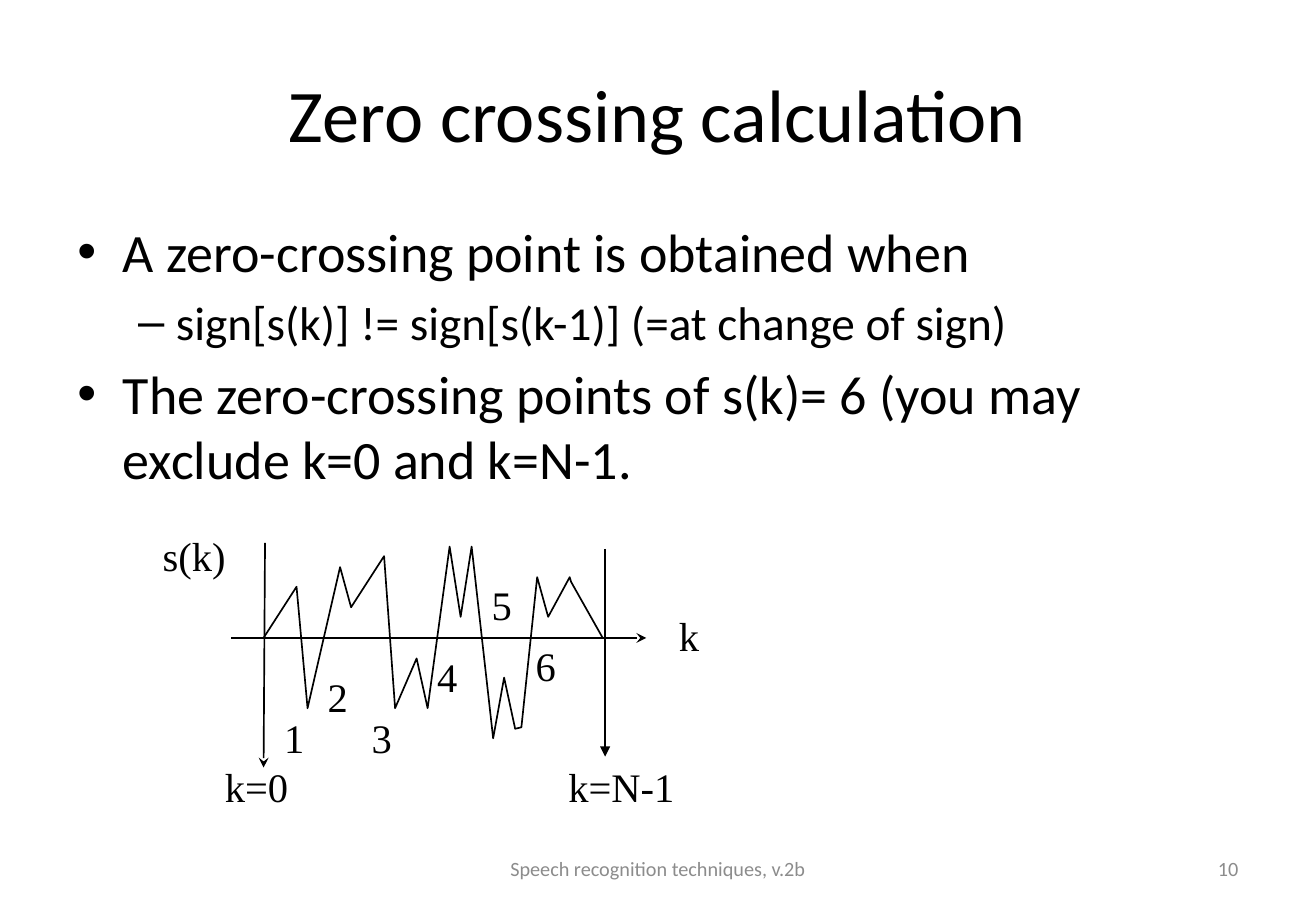
from lxml import etree
from pptx import Presentation
from pptx.dml.color import RGBColor
from pptx.enum.shapes import MSO_CONNECTOR
from pptx.enum.text import MSO_ANCHOR, PP_ALIGN
from pptx.oxml.ns import qn
from pptx.util import Cm, Pt

STRAIGHT = MSO_CONNECTOR.STRAIGHT
TOP, MIDDLE = MSO_ANCHOR.TOP, MSO_ANCHOR.MIDDLE
LEFT, CENTER, RIGHT = PP_ALIGN.LEFT, PP_ALIGN.CENTER, PP_ALIGN.RIGHT

BLACK, GREY = "000000", "8C8C8C"
SANS, SERIF = "Calibri", "Times New Roman"
AXIS_Y = 13.34

BULLETS = [
    (0, "A zero-crossing point is obtained when"),
    (1, "sign[s(k)] != sign[s(k-1)] (=at change of sign)"),
    (0, "The zero-crossing points of s(k)= 6 (you may exclude k=0 and k=N-1."),
]
LEVELS = [("•", 32, 0.95, 0.95), ("–", 28, 2.06, 0.79)]

AXES = [
    ((5.54, 11.35), (5.51, 16.05), "stealth"),
    ((12.65, 11.48), (12.65, 15.82), "triangle"),
    ((4.83, AXIS_Y), (13.51, AXIS_Y), "stealth"),
]
SIGNAL = [
    (5.51, AXIS_Y), (6.2, 12.27), (6.43, 14.81), (7.11, 11.86), (7.34, 12.7),
    (8.03, 11.63), (8.26, 14.81), (8.71, 13.77), (8.94, 14.81), (9.4, 11.43),
    (9.63, 12.9), (9.86, 11.43), (10.31, 15.44), (10.54, 14.17),
    (10.77, 15.24), (10.9, 15.21), (11.23, 12.07), (11.46, 12.9),
    (11.91, 12.07), (11.94, 12.17), (12.6, AXIS_Y),
]
LABELS = [
    ("k", 13.94, 12.65, 0.94), ("s(k)", 3.15, 10.97, 1.85),
    ("1", 5.69, 14.78, 0.94), ("2", 6.6, 13.92, 0.94),
    ("3", 7.52, 14.78, 0.94), ("4", 8.89, 13.51, 0.94),
    ("5", 10.03, 12.01, 0.94), ("6", 10.95, 13.28, 0.94),
    ("k=N-1", 11.63, 15.82, 2.77), ("k=0", 4.45, 15.82, 1.85),
]


def rgb(value):
    """Return the colour for a hex string."""
    return RGBColor.from_string(value)


def style_text(paragraph, size, font, color):
    """Format every run of a paragraph."""
    for run in paragraph.runs:
        run.font.size = Pt(size)
        run.font.name = font
        run.font.color.rgb = rgb(color)


def add_frame(slide, box, anchor=TOP, wrap=True):
    """Add a text box and return its text frame."""
    frame = slide.shapes.add_textbox(*map(Cm, box)).text_frame
    frame.word_wrap = wrap
    frame.vertical_anchor = anchor
    return frame


def add_text(slide, text, box, size, font=SANS, color=BLACK, align=CENTER,
             anchor=MIDDLE, wrap=True):
    """Add a single formatted line of text."""
    frame = add_frame(slide, box, anchor, wrap)
    frame.text = text
    frame.paragraphs[0].alignment = align
    style_text(frame.paragraphs[0], size, font, color)


def add_bullets(slide, box):
    """Add the two-level bullet list."""
    frame = add_frame(slide, box)
    for index, (level, text) in enumerate(BULLETS):
        mark, size, margin, hang = LEVELS[level]
        paragraph = frame.add_paragraph() if index else frame.paragraphs[0]
        paragraph.text = text
        paragraph.level = level
        paragraph.space_before = Pt(size * 0.2)
        style_text(paragraph, size, SANS, BLACK)
        properties = paragraph._p.get_or_add_pPr()
        properties.set("marL", str(Cm(margin)))
        properties.set("indent", str(-Cm(hang)))
        etree.SubElement(properties, qn("a:buFont"), typeface="Arial")
        etree.SubElement(properties, qn("a:buChar"), char=mark)


def add_axis(slide, start, end, head):
    """Add a thin line with an arrowhead at its end."""
    axis = slide.shapes.add_connector(STRAIGHT, *map(Cm, start + end))
    axis.line.color.rgb = rgb(BLACK)
    axis.line.width = Pt(1)
    etree.SubElement(axis.line._get_or_add_ln(), qn("a:tailEnd"), type=head)
    etree.SubElement(axis._element.spPr, qn("a:effectLst"))


def add_signal(slide, points):
    """Draw the open waveform through the given points."""
    start, *rest = [(Cm(x), Cm(y)) for x, y in points]
    builder = slide.shapes.build_freeform(*start)
    builder.add_line_segments(rest, close=False)
    signal = builder.convert_to_shape()
    signal.fill.background()
    signal.line.color.rgb = rgb(BLACK)
    signal.line.width = Pt(1)
    signal.shadow.inherit = False


def main():
    """Build and save the slide."""
    deck = Presentation()
    deck.slide_width, deck.slide_height = Cm(27.51), Cm(19.05)
    slide = deck.slides.add_slide(deck.slide_layouts[6])
    add_text(slide, "Zero crossing calculation", (1.37, 0.76, 24.77, 3.18), 44)
    add_bullets(slide, (1.37, 4.45, 24.77, 12.57))
    for start, end, head in AXES:
        add_axis(slide, start, end, head)
    add_signal(slide, SIGNAL)
    for text, left, top, width in LABELS:
        add_text(slide, text, (left, top, width, 1.28), 24, SERIF,
                 align=LEFT, anchor=TOP, wrap=False)
    add_text(slide, "Speech recognition techniques, v.2b",
             (9.4, 17.65, 8.71, 1.02), 12, color=GREY)
    add_text(slide, "10", (19.71, 17.65, 6.43, 1.02), 12, color=GREY, align=RIGHT)
    deck.save("out.pptx")


if __name__ == "__main__":
    main()
